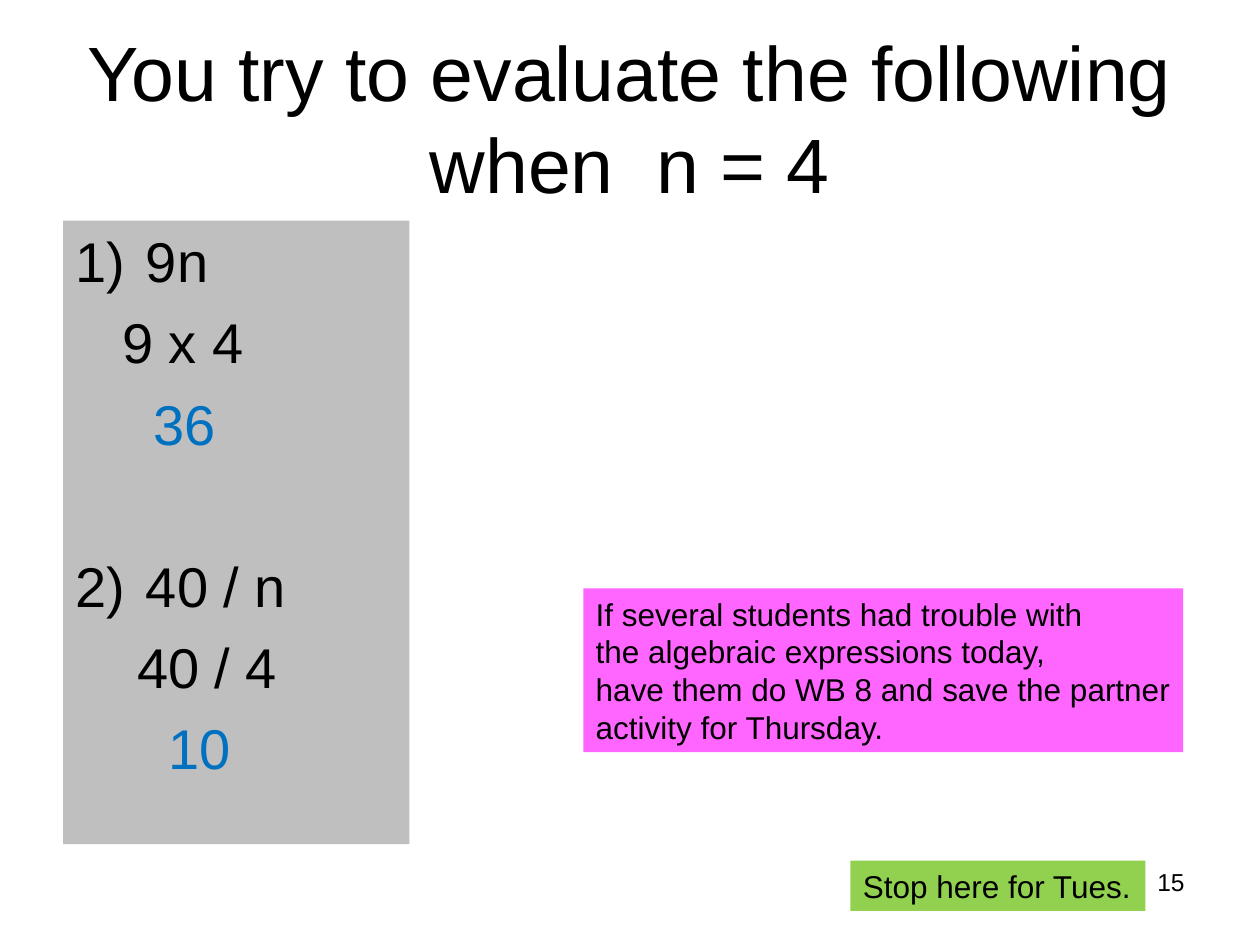
import pptx
import pptx.dml.color
import pptx.enum.shapes
import pptx.enum.text
import pptx.util
from lxml import etree

Inches, Pt = pptx.util.Inches, pptx.util.Pt
ALIGN = pptx.enum.text.PP_ALIGN
ANCHOR = pptx.enum.text.MSO_ANCHOR

# Content
TITLE = "You try to evaluate the following when  n = 4"
PROBLEMS = [  # expression, substitution, answer, indents of the last two
    ("9n", "9 x 4", "36", 0.37, 0.62),
    ("40 / n", "40 / 4", "10", 0.49, 0.74),
]
TEACHER_NOTE = [
    "If several students had trouble with",
    "the algebraic expressions today,",
    "have them do WB 8 and save the partner",
    "activity for Thursday.",
]
STOP_NOTE = "Stop here for Tues."
PAGE_NUMBER = "15"

BLACK, ANSWER_BLUE = "000000", "0070C0"
LINE_HEIGHT = 1.2
WORK_SIZE, WORK_GAP, NUMBER_INDENT = 32, 8, 0.56


def rgb(value):
    return pptx.dml.color.RGBColor.from_string(value)


def style(paragraph, size, color=BLACK, align=ALIGN.LEFT):
    paragraph.alignment = align
    paragraph.line_spacing = Pt(size * LINE_HEIGHT)
    for run in paragraph.runs:
        run.font.name = "Arial"
        run.font.size = Pt(size)
        run.font.color.rgb = rgb(color)


def add_panel(slide, place, lines, size, fill=None, align=ALIGN.LEFT,
              anchor=ANCHOR.TOP, wrap=True):
    """Place a block of text, on a filled rectangle if a fill is given."""
    box = [Inches(length) for length in place]
    if fill:
        panel = slide.shapes.add_shape(
            pptx.enum.shapes.MSO_SHAPE.RECTANGLE, *box)
        panel.shadow.inherit = False
        panel.fill.solid()
        panel.fill.fore_color.rgb = rgb(fill)
        panel.line.fill.background()
    else:
        panel = slide.shapes.add_textbox(*box)
    frame = panel.text_frame
    frame.text = "\n".join(lines)
    frame.word_wrap = wrap
    frame.vertical_anchor = anchor
    for paragraph in frame.paragraphs:
        style(paragraph, size, align=align)
    return frame


def indent(paragraph, left, number=None):
    """Indent a line; a number hangs to the left of its text."""
    properties = paragraph._p.get_or_add_pPr()
    properties.set("marL", str(Inches(left)))
    properties.set("indent", str(-Inches(left) if number else 0))
    if number:
        numbering = etree.SubElement(
            properties, pptx.oxml.ns.qn("a:buAutoNum"), type="arabicParenR")
        if number > 1:
            numbering.set("startAt", str(number))


def add_problems(slide):
    lines = [line for problem in PROBLEMS for line in problem[:3]]
    frame = add_panel(slide, (0.5, 1.75, 2.75, 4.95), lines, WORK_SIZE, "BFBFBF")
    paragraphs = iter(frame.paragraphs)
    for number, problem in enumerate(PROBLEMS, 1):
        expression, substitution, answer = (next(paragraphs) for _ in range(3))
        indent(expression, NUMBER_INDENT, number)
        indent(substitution, problem[3])
        indent(answer, problem[4])
        style(answer, WORK_SIZE, ANSWER_BLUE)
        for paragraph in (substitution, answer):
            paragraph.space_before = Pt(WORK_GAP)
        if number > 1:  # one free line between problems
            expression.space_before = Pt(2 * WORK_GAP + WORK_SIZE * LINE_HEIGHT)


def main():
    deck = pptx.Presentation()
    deck.slide_width, deck.slide_height = Inches(10), Inches(7.5)
    slide = deck.slides.add_slide(deck.slide_layouts[6])

    # Title and worked problems
    add_panel(slide, (0.5, 0.3, 9, 1.25), [TITLE], 44,
              align=ALIGN.CENTER, anchor=ANCHOR.MIDDLE)
    add_problems(slide)

    # Page number and notes for the teacher
    add_panel(slide, (7.17, 6.83, 2.33, 0.52), [PAGE_NUMBER], 14,
              align=ALIGN.RIGHT)
    add_panel(slide, (4.63, 4.67, 4.76, 1.3), TEACHER_NOTE, 18, "FF66FF",
              wrap=False)
    add_panel(slide, (6.75, 6.83, 2.34, 0.4), [STOP_NOTE], 18, "92D050",
              wrap=False)

    deck.save("out.pptx")


if __name__ == "__main__":
    main()
